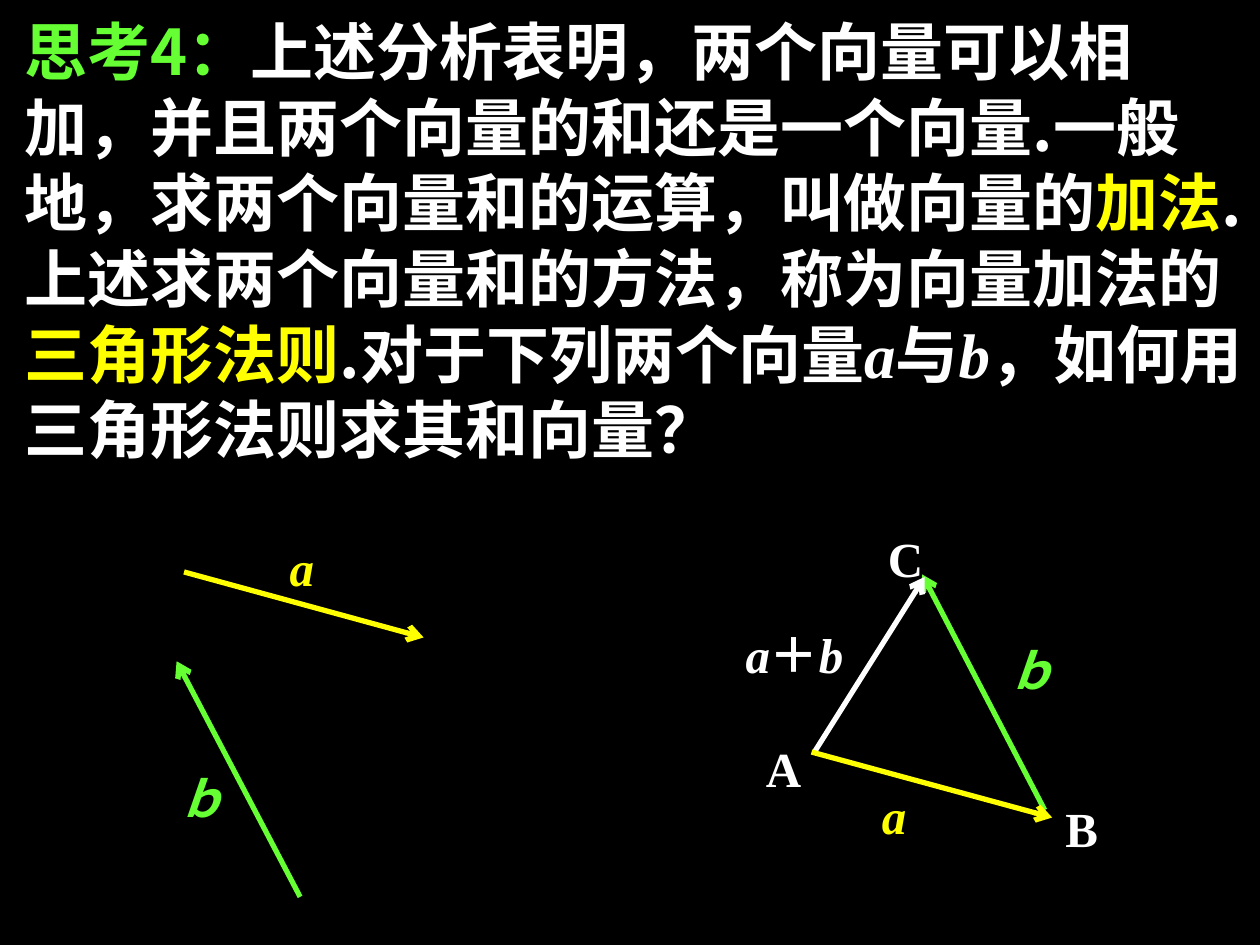
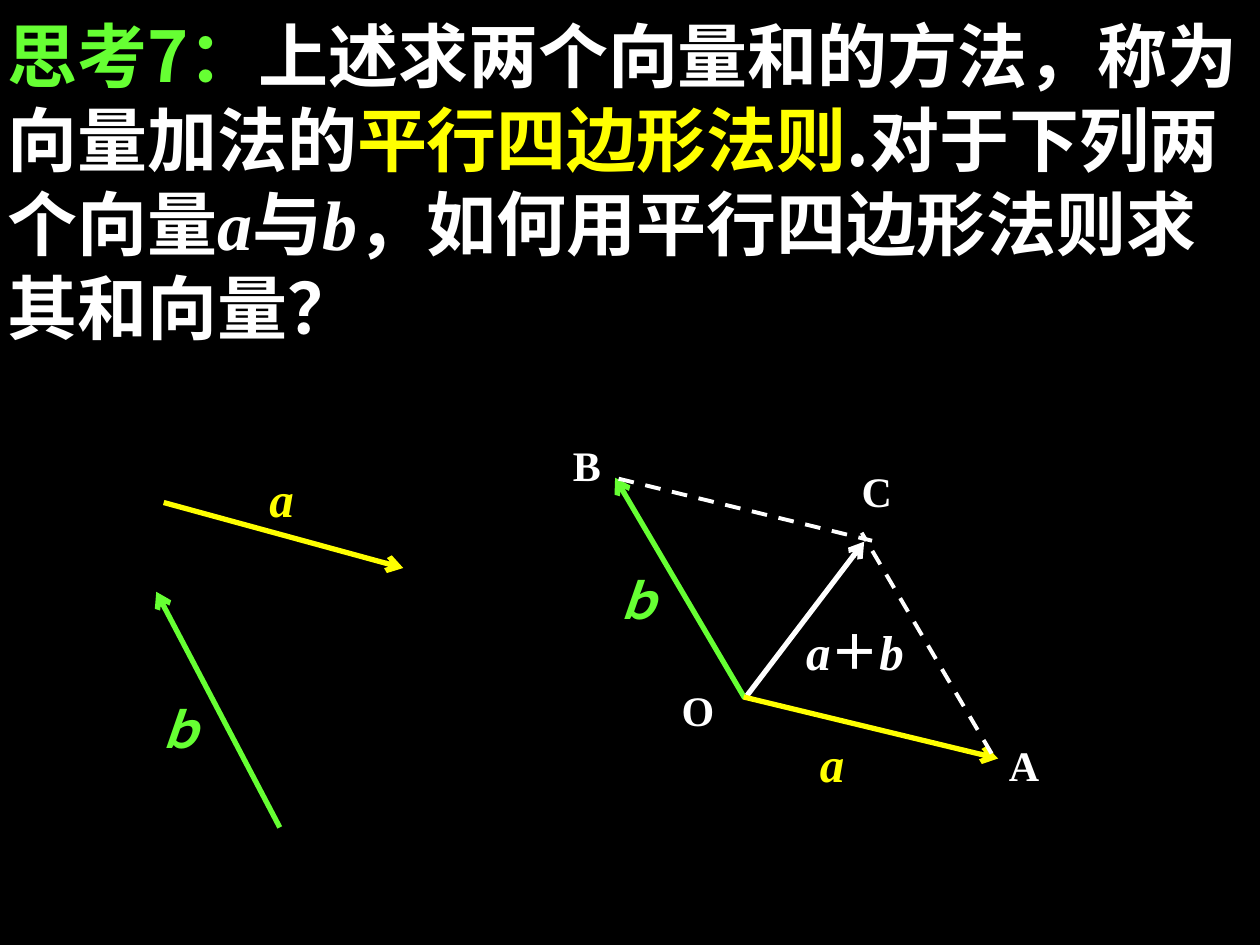
from lxml import etree
from pptx import Presentation
from pptx.dml.color import RGBColor as Rgb
from pptx.enum.dml import MSO_LINE_DASH_STYLE as Dash
from pptx.enum.lang import MSO_LANGUAGE_ID as Language
from pptx.enum.shapes import MSO_CONNECTOR as Connector
from pptx.enum.text import MSO_AUTO_SIZE as AutoSize, PP_ALIGN as Align
from pptx.oxml.ns import qn
from pptx.util import Cm, Pt

COLORS = {
    "background": "000000",
    "text": "FFFFFF",
    "heading": "66FF33",
    "term": "FFFF00",
    "a": "FFFF00",
    "b": "66FF33",
    "sum": "FFFFFF",
}
HAN_FONT = "Noto Sans CJK SC"
MATH_FONT = "Times New Roman"

# Label texts as (text, italic) spans
VECTOR_SPANS = {
    "a": [("a", True)],
    "b": [("ｂ", True)],
    "sum": [("a", True), ("＋", False), ("b", True)],
}


def color(name):
    return Rgb.from_string(COLORS[name])


def set_typeface(font, properties, name):
    """Use the named typeface for Latin letters and the Han font for the rest."""
    font.name = name
    etree.SubElement(properties, qn("a:ea")).set("typeface", HAN_FONT)


def add_page(deck):
    page = deck.slides.add_slide(deck.slide_layouts[6])
    fill = page.background.fill
    fill.solid()
    fill.fore_color.rgb = color("background")
    return page


def add_box(page, left, top, width, height):
    box = page.shapes.add_textbox(Cm(left), Cm(top), Cm(width), Cm(height))
    box.text_frame.word_wrap = True
    return box.text_frame


def add_span(para, text):
    span = para.add_run()
    span.text = text
    span.font.language_id = Language.SIMPLIFIED_CHINESE
    return span


def add_statement(page, place, size, spans):
    """Question text made of (text, kind) spans; kind "vector" is an italic letter."""
    frame = add_box(page, *place)
    frame.auto_size = AutoSize.SHAPE_TO_FIT_TEXT
    para = frame.paragraphs[0]
    para._p.get_or_add_pPr().set("hangingPunct", "0")
    para.font.size = Pt(size)
    para.font.bold = True
    for text, kind in spans:
        is_vector = kind == "vector"
        span = add_span(para, text)
        span.font.italic = is_vector
        span.font.color.rgb = color("text" if is_vector else kind)
        set_typeface(span.font, span._r.get_or_add_rPr(),
                     MATH_FONT if is_vector else HAN_FONT)


def add_label(page, place, spans, color_name="text", size=28):
    para = add_box(page, *place).paragraphs[0]
    para.alignment = Align.JUSTIFY
    para.font.size = Pt(size)
    para.font.bold = True
    para.font.color.rgb = color(color_name)
    set_typeface(para.font, para._p.pPr.find(qn("a:defRPr")), MATH_FONT)
    for text, italic in spans:
        add_span(para, text).font.italic = italic


def add_point(page, name, place, size=28):
    add_label(page, place, [(name, False)], size=size)


def add_line(page, start, end, color_name, width):
    line = page.shapes.add_connector(Connector.STRAIGHT, *map(Cm, start + end))
    line.line.color.rgb = color(color_name)
    line.line.width = Pt(width)
    etree.SubElement(line._element.spPr, qn("a:effectLst"))
    return line


def add_vector(page, name, start, end, label_place):
    """Arrow from start to end with its label."""
    arrow = add_line(page, start, end, name, 3)
    outline = arrow.line._get_or_add_ln()
    etree.SubElement(outline, qn("a:tailEnd")).set("type", "arrow")
    add_label(page, label_place, VECTOR_SPANS[name], name)


def add_dashed_side(page, start, end):
    add_line(page, start, end, "text", 2.25).line.dash_style = Dash.DASH


def add_given_vectors(page, x, y):
    """The two free vectors; (x, y) is the start of a."""
    add_vector(page, "a", (x, y), (x + 4.83, y + 1.32),
               (x + 1.88, y - 0.81, 1.75, 1.85))
    add_vector(page, "b", (x + 2.34, y + 6.55), (x - 0.15, y + 1.8),
               (x - 0.41, y + 3.84, 2.46, 1.55))


def build_triangle_page(deck):
    page = add_page(deck)
    add_statement(page, (0.25, 0.13, 25.15, 9.4), 36, [
        ("思考4：", "heading"),
        ("上述分析表明，两个向量可以相加，并且两个向量的和还是一个向量."
         "一般地，求两个向量和的运算，叫做向量的", "text"),
        ("加法", "term"),
        (".上述求两个向量和的方法，称为向量加法的", "text"),
        ("三角形法则", "term"),
        (".对于下列两个向量", "text"),
        ("a", "vector"),
        ("与", "text"),
        ("b", "vector"),
        ("，如何用三角形法则求其和向量？", "text"),
    ])
    add_given_vectors(page, 3.71, 11.53)

    # Triangle ABC
    add_point(page, "C", (17.65, 10.52, 1.88, 2.06))
    add_vector(page, "b", (21.06, 16.33), (18.59, 11.58), (20.04, 12.78, 2.46, 1.93))
    add_vector(page, "sum", (16.43, 15.14), (18.64, 11.63), (14.78, 12.47, 4.52, 1.55))
    add_point(page, "A", (15.19, 14.76, 2.49, 2.44))
    add_point(page, "B", (21.23, 15.98, 3.05, 2.01))
    add_vector(page, "a", (16.36, 15.16), (21.21, 16.48), (17.53, 15.72, 1.75, 1.85))


def build_parallelogram_page(deck):
    page = add_page(deck)
    add_statement(page, (-0.1, 0.13, 25.5, 7.04), 40, [
        ("思考7：", "heading"),
        ("上述求两个向量和的方法，称为向量加法的", "text"),
        ("平行四边形法则", "term"),
        (".对于下列两个向量", "text"),
        ("a", "vector"),
        ("与", "text"),
        ("b", "vector"),
        ("，如何用平行四边形法则求其和向量？", "text"),
    ])
    add_given_vectors(page, 3.3, 10.13)

    # Parallelogram OACB
    add_point(page, "B", (11.3, 8.74, 1.6, 1.88), 24)
    add_vector(page, "b", (15.01, 14.07), (12.4, 9.63), (12.12, 11.38, 2.59, 1.8))
    add_vector(page, "sum", (15.06, 14.02), (17.42, 10.92), (16, 12.4, 4.78, 1.45))
    add_point(page, "A", (20.09, 14.78, 1.63, 1.8), 24)
    add_vector(page, "a", (14.99, 14.05), (20.12, 15.29), (16.28, 14.66, 1.85, 1.73))
    add_point(page, "O", (13.49, 13.67, 1.83, 1.83), 24)
    add_point(page, "C", (17.12, 9.25, 1.98, 1.93), 24)
    add_dashed_side(page, (12.47, 9.65), (17.58, 10.9))
    add_dashed_side(page, (19.99, 15.19), (17.37, 10.74))


def main():
    deck = Presentation()
    deck.slide_width, deck.slide_height = Cm(25.4), Cm(19.05)
    build_triangle_page(deck)
    build_parallelogram_page(deck)
    deck.save("out.pptx")


if __name__ == "__main__":
    main()
